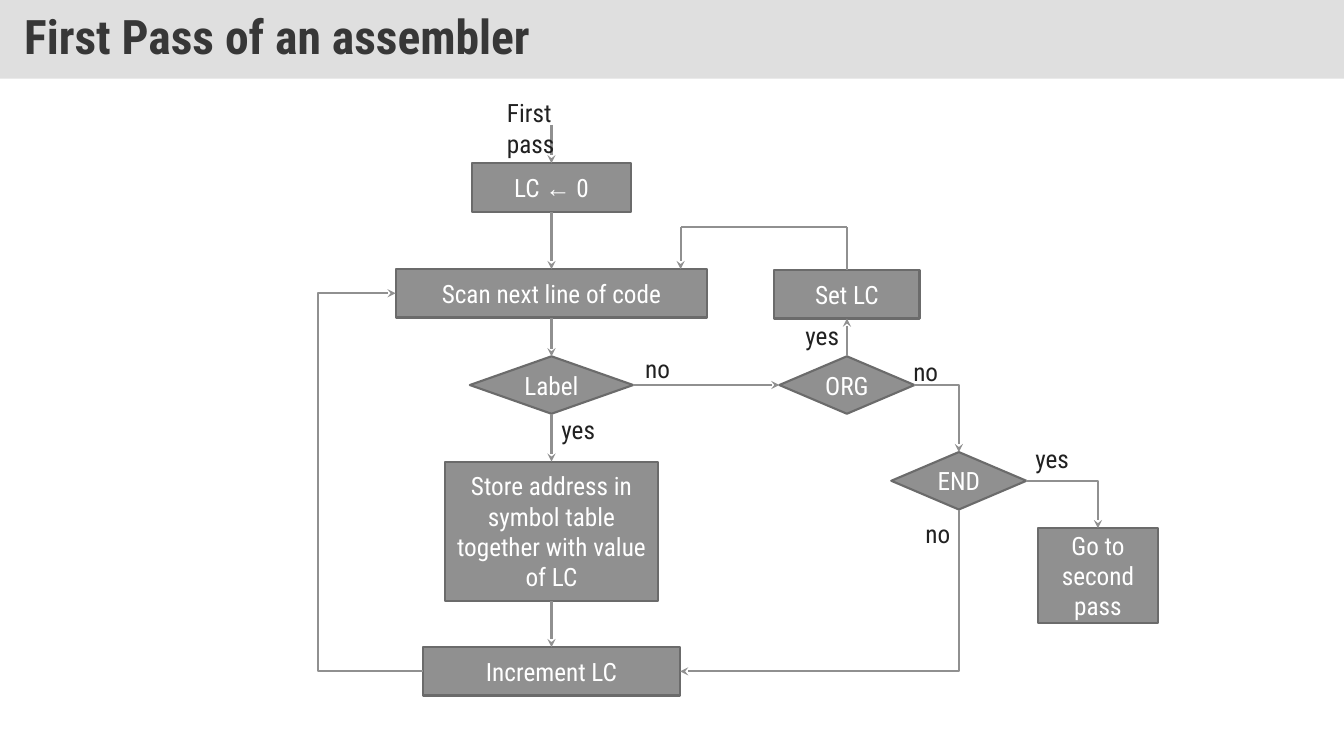
"""Build a slide with the flowchart of an assembler's first pass."""
from lxml import etree
from pptx import Presentation
from pptx.dml.color import RGBColor
from pptx.enum import shapes, text
from pptx.oxml import ns
from pptx.util import Inches, Pt

FONT, ARROW_FONT = "Roboto Condensed", "Times New Roman"
GREY, EDGE, WHITE, INK = "909090", "6B6B6B", "FFFFFF", "212121"
TITLE = "First Pass of an assembler"
MAIN_X, ORG_X, END_X, EXIT_X = 5.47, 8.4, 9.51, 10.89
TOP, LEFT, BOTTOM, RIGHT = range(4)
RECT = shapes.MSO_SHAPE.RECTANGLE
DECISION = shapes.MSO_SHAPE.FLOWCHART_DECISION

BLOCKS = {
    "start": ("LC ← 0", RECT, MAIN_X, 1.86, 1.58, 0.48),
    "scan": ("Scan next line of code", RECT, MAIN_X, 2.91, 3.09, 0.48),
    "label": ("Label", DECISION, MAIN_X, 3.82, 1.62, 0.57),
    "store": ("Store address in symbol table together with value of LC",
              RECT, MAIN_X, 5.27, 2.11, 1.38),
    "increment": ("Increment LC", RECT, MAIN_X, 6.66, 2.55, 0.48),
    "set": ("Set LC", RECT, ORG_X, 2.92, 1.44, 0.48),
    "org": ("ORG", DECISION, ORG_X, 3.82, 1.34, 0.57),
    "end": ("END", DECISION, END_X, 4.77, 1.34, 0.57),
    "exit": ("Go to second pass", RECT, EXIT_X, 5.71, 1.19, 0.94),
}
STRAIGHT = [
    ("start", BOTTOM, "scan", TOP),
    ("scan", BOTTOM, "label", TOP),
    ("label", RIGHT, "org", LEFT),
    ("label", BOTTOM, "store", TOP),
    ("store", BOTTOM, "increment", TOP),
    ("org", TOP, "set", BOTTOM),
]
CORNERS = [("org", "end"), ("end", "exit")]
LABELS = [
    ("First pass", 4.93, 0.92, 1.15),
    ("no", 6.3, 3.46, 0.47),
    ("no", 8.96, 3.49, 0.47),
    ("no", 9.08, 5.09, 0.47),
    ("yes", 5.47, 4.06, 0.54),
    ("yes", 7.89, 3.13, 0.54),
    ("yes", 10.17, 4.35, 0.54),
]


def colour(value):
    return RGBColor.from_string(value)


def style(para, value, size=18):
    para.font.name = FONT
    para.font.size = Pt(size)
    para.font.color.rgb = colour(value)


def add_title(page):
    title = page.shapes.title
    title.left, title.top = Inches(0), Inches(0)
    title.width, title.height = Inches(13.33), Inches(0.78)
    title.fill.solid()
    title.fill.fore_color.rgb = colour("C0C0C0")
    shade = title.fill._xPr.find(".//" + ns.qn("a:srgbClr"))
    etree.SubElement(shade, ns.qn("a:alpha"), val="50000")
    frame = title.text_frame
    frame.text = TITLE
    frame.auto_size = text.MSO_AUTO_SIZE.NONE
    frame.vertical_anchor = text.MSO_ANCHOR.MIDDLE
    frame.margin_left = frame.margin_right = Inches(0.24)
    frame.margin_top = frame.margin_bottom = Inches(0.12)
    para = frame.paragraphs[0]
    para.alignment = text.PP_ALIGN.LEFT
    para.line_spacing = 0.9
    style(para, "373737", 34)
    para.font.bold = True


def add_block(page, words, kind, x, y, width, height):
    block = page.shapes.add_shape(kind, Inches(x - width / 2), Inches(y - height / 2),
                                  Inches(width), Inches(height))
    block.shadow.inherit = False
    block.fill.solid()
    block.fill.fore_color.rgb = colour(GREY)
    block.line.color.rgb = colour(EDGE)
    block.line.width = Pt(1.5)
    frame = block.text_frame
    frame.word_wrap = True
    frame.vertical_anchor = text.MSO_ANCHOR.MIDDLE
    para = frame.paragraphs[0]
    para.alignment = text.PP_ALIGN.CENTER
    style(para, WHITE)
    for piece in filter(None, words.partition("←")):
        span = para.add_run()
        span.text = piece
        if piece == "←":
            span.font.name = ARROW_FONT
    return block


def add_line(page, start, finish, kind=shapes.MSO_CONNECTOR.STRAIGHT, arrow=True):
    line = page.shapes.add_connector(kind, *map(Inches, start + finish))
    line.line.color.rgb = colour(GREY)
    line.line.width = Pt(1.5)
    if arrow:
        etree.SubElement(line.line._get_or_add_ln(), ns.qn("a:tailEnd"), type="stealth")
    etree.SubElement(line._element.spPr, ns.qn("a:effectLst"))
    return line


def add_elbow(page, start, finish, preset):
    elbow = add_line(page, start, finish, shapes.MSO_CONNECTOR.ELBOW)
    geometry = elbow._element.spPr.find(ns.qn("a:prstGeom"))
    geometry.set("prst", preset)
    return elbow, geometry


def side(name, site):
    x, y, width, height = BLOCKS[name][2:]
    across, down = [(0, -0.5), (-0.5, 0), (0, 0.5), (0.5, 0)][site]
    return x + across * width, y + down * height


def add_end_to_increment(page):
    (x1, y1), (x2, y2) = side("end", BOTTOM), side("increment", RIGHT)
    run, drop = x1 - x2, y2 - y1
    left, top = (x1 + x2 - drop) / 2, (y1 + y2 - run) / 2
    elbow, _ = add_elbow(page, (left, top), (left + drop, top + run), "bentConnector2")
    elbow._element.spPr.find(ns.qn("a:xfrm")).set("rot", str(90 * 60000))


def add_loop(page, lane=3.15):
    start, finish = side("increment", LEFT), side("scan", LEFT)
    _, geometry = add_elbow(page, start, finish, "bentConnector3")
    share = (start[0] - lane) / (start[0] - finish[0])
    guides = geometry.find(ns.qn("a:avLst"))
    etree.SubElement(guides, ns.qn("a:gd"), name="adj1", fmla=f"val {round(share * 100000)}")


def add_return(page, blocks, lane=2.25, x=6.75):
    riser = add_line(page, side("set", TOP), (ORG_X, lane), arrow=False)
    riser.begin_connect(blocks["set"], TOP)
    add_line(page, (ORG_X, lane), (x, lane), arrow=False)
    add_line(page, (x, lane), (x, side("scan", TOP)[1]))


def add_label(page, words, left, top, width):
    box = page.shapes.add_textbox(Inches(left), Inches(top), Inches(width), Inches(0.4))
    frame = box.text_frame
    frame.word_wrap = words == "First pass"
    frame.auto_size = text.MSO_AUTO_SIZE.SHAPE_TO_FIT_TEXT
    frame.text = words
    style(frame.paragraphs[0], INK)


def main():
    deck = Presentation()
    deck.slide_width, deck.slide_height = Inches(13.33), Inches(7.5)
    page = deck.slides.add_slide(deck.slide_layouts[5])
    add_title(page)
    blocks = {name: add_block(page, *block) for name, block in BLOCKS.items()}
    for source, leave, target, arrive in STRAIGHT:
        line = add_line(page, side(source, leave), side(target, arrive))
        line.begin_connect(blocks[source], leave)
        line.end_connect(blocks[target], arrive)
    for source, target in CORNERS:
        add_elbow(page, side(source, RIGHT), side(target, TOP), "bentConnector2")
    add_end_to_increment(page)
    add_loop(page)
    entry = add_line(page, (MAIN_X, 1.24), side("start", TOP))
    entry.end_connect(blocks["start"], TOP)
    add_return(page, blocks)
    for label in LABELS:
        add_label(page, *label)
    deck.save("out.pptx")


if __name__ == "__main__":
    main()
